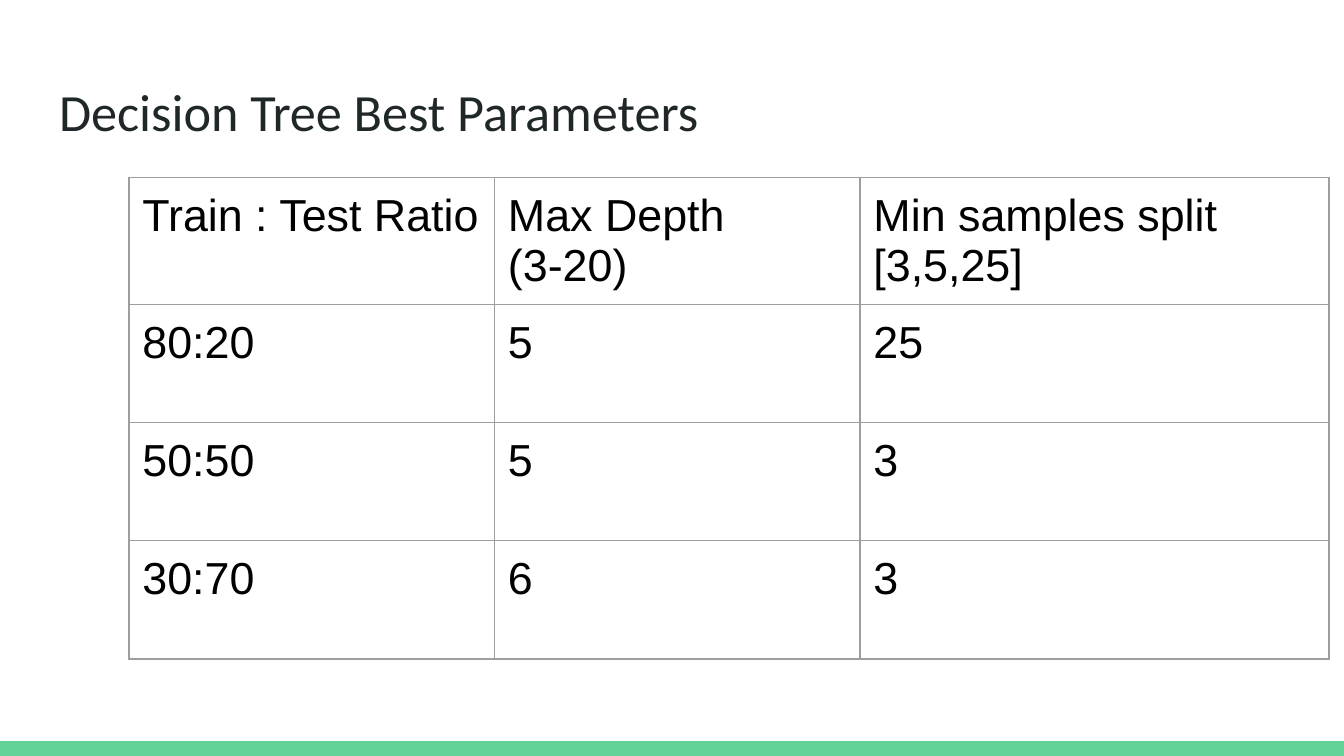
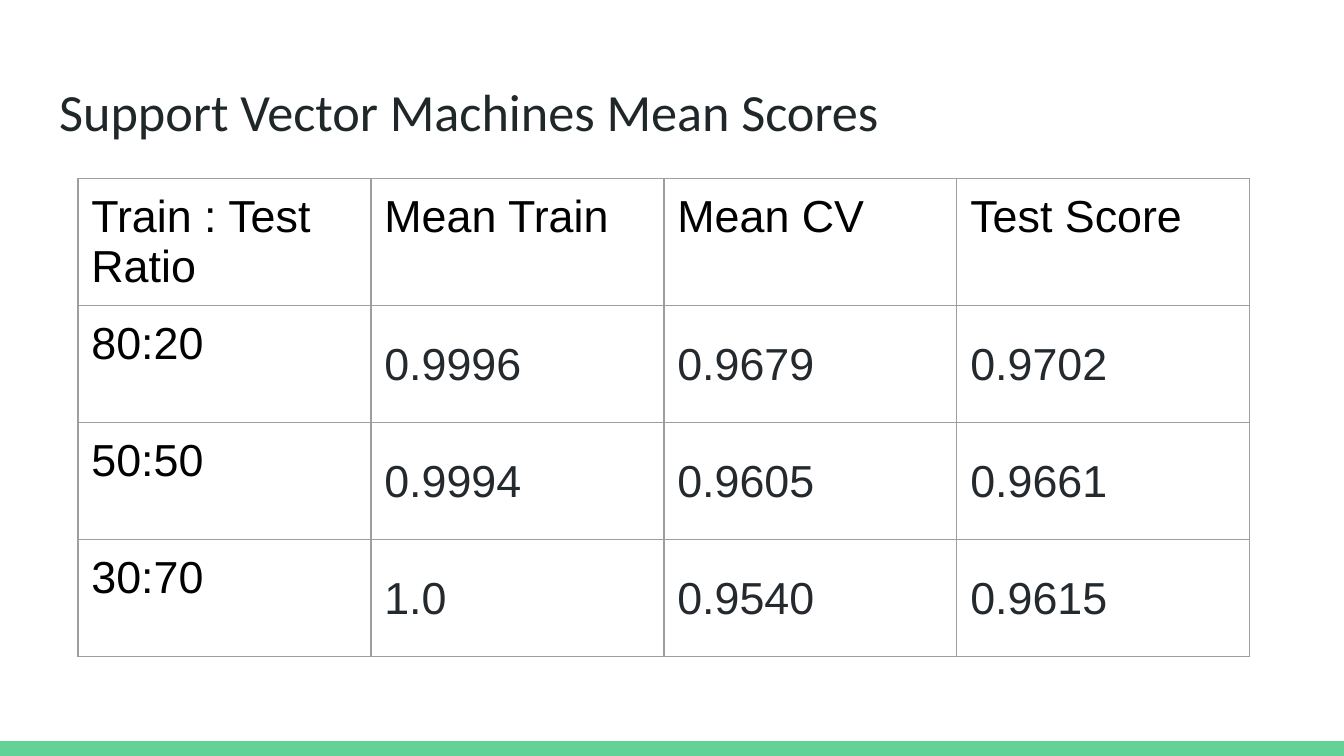
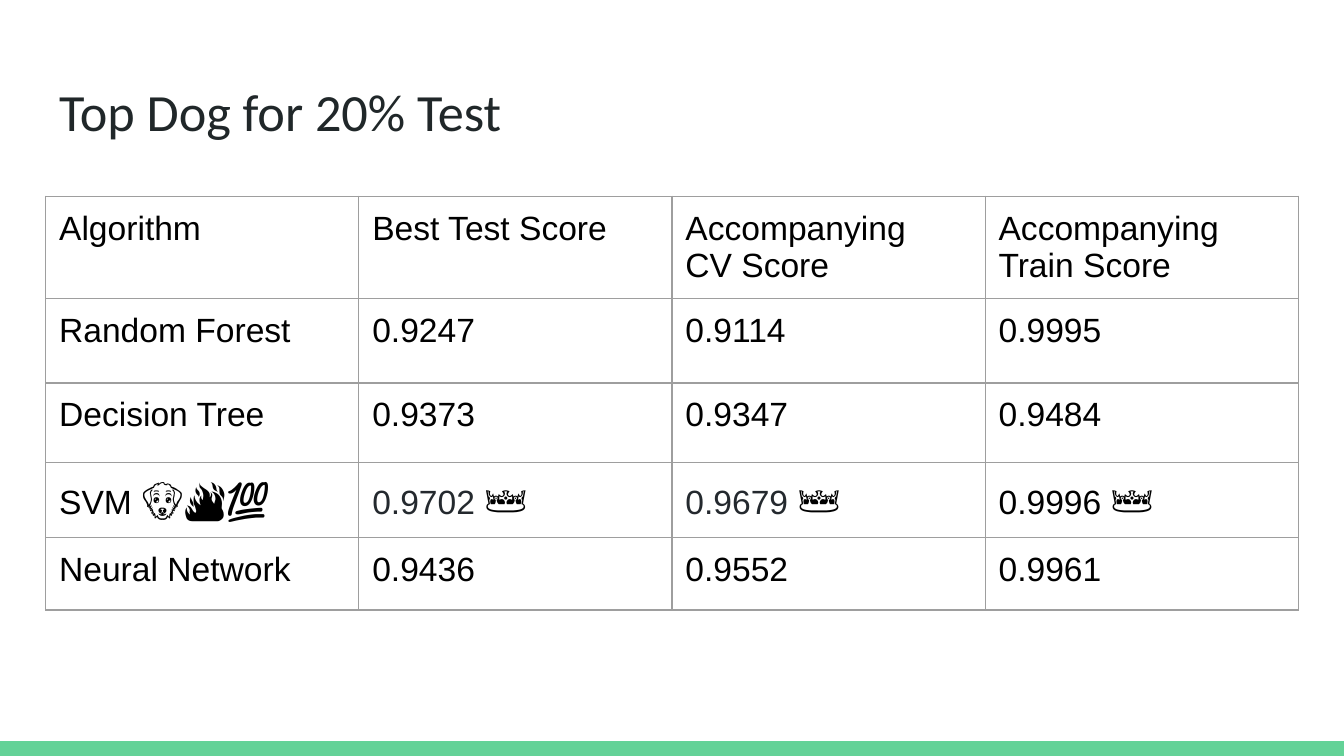
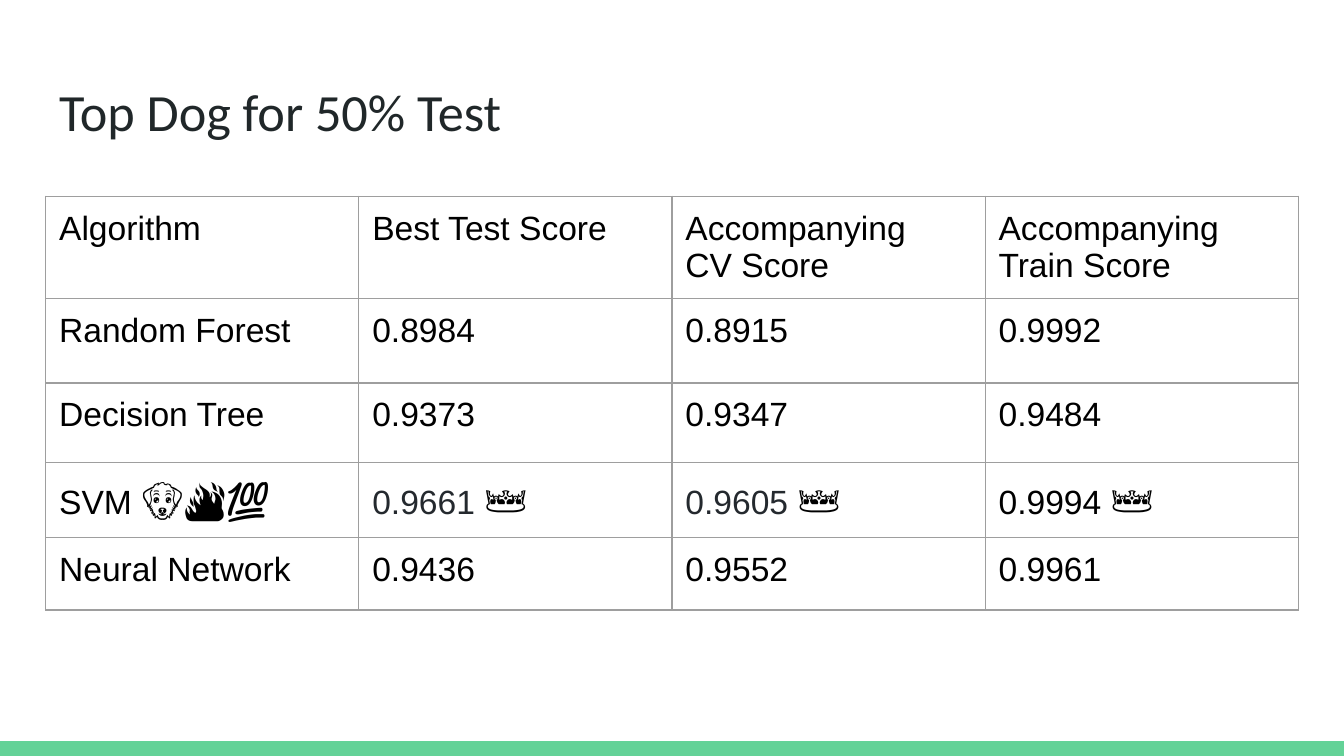
import pptx
import pptx.dml.color
import pptx.enum.shapes
import pptx.enum.text
import pptx.oxml
import pptx.oxml.ns
import pptx.util

Inches, Pt = pptx.util.Inches, pptx.util.Pt

# Shared look
W = 10
H = W * 9 / 16
MARGIN = 0.34
CONTENT_W = W - 2 * MARGIN
BAND_H = 0.11
INSET = 0.1
COLORS = {"green": "63D297", "title": "202729", "text": "000000",
          "score": "24292E", "border": "9E9E9E"}
CROWN = ("👑", "emoji")


def rgb(name):
    return pptx.dml.color.RGBColor.from_string(COLORS[name])


def style_run(r, font, size, color, bold=False):
    r.font.name = font
    r.font.size = Pt(size)
    r.font.bold = bold
    r.font.color.rgb = rgb(color)


def add_master_band(prs, s):
    """Draw the bottom band, then move it to the slide master."""
    band = s.shapes.add_shape(pptx.enum.shapes.MSO_SHAPE.RECTANGLE, 0,
                              Inches(H - BAND_H), Inches(W), Inches(BAND_H))
    band.shadow.inherit = False
    band.fill.solid()
    band.fill.fore_color.rgb = rgb("green")
    band.line.fill.background()
    band.element.xpath(".//p:cNvPr")[0].set("id", "20")
    prs.slide_master.shapes.element.append(band.element)


def add_titled_slide(prs, title):
    s = prs.slides.add_slide(prs.slide_layouts[5])
    sp = s.shapes.title
    sp.left, sp.top, sp.width, sp.height = map(
        Inches, (MARGIN, 0.49, CONTENT_W, 0.63))
    tf = sp.text_frame
    tf.text = title
    tf.word_wrap = True
    tf.auto_size = pptx.enum.text.MSO_AUTO_SIZE.NONE
    tf.vertical_anchor = pptx.enum.text.MSO_ANCHOR.TOP
    tf.margin_left = tf.margin_right = Inches(INSET)
    tf.margin_top = tf.margin_bottom = Inches(INSET)
    p = tf.paragraphs[0]
    p.alignment = pptx.enum.text.PP_ALIGN.LEFT
    style_run(p.runs[0], "Calibri", 28, "title")
    return s


def set_borders(cell):
    tc_pr = cell._tc.get_or_add_tcPr()
    for i, side in enumerate(("lnL", "lnR", "lnT", "lnB")):
        tc_pr.insert(i, pptx.oxml.parse_xml(
            f'<a:{side} {pptx.oxml.ns.nsdecls("a")} w="{Pt(0.75)}"><a:solidFill>'
            f'<a:srgbClr val="{COLORS["border"]}"/></a:solidFill></a:{side}>'))


def fill_cell(cell, content, size, color="text", spacing=None):
    """Content is plain text, or a list of (text, style) runs."""
    cell.margin_left = cell.margin_right = Inches(INSET)
    cell.margin_top = cell.margin_bottom = Inches(INSET)
    cell.fill.background()
    set_borders(cell)
    tf = cell.text_frame
    if isinstance(content, str):
        tf.text = content
        for p in tf.paragraphs:
            p.line_spacing = spacing
            for r in p.runs:
                style_run(r, "Arial", size, color)
        return
    for text, style in content:
        r = tf.paragraphs[0].add_run()
        r.text = text
        if style == "emoji":
            style_run(r, "Arial", 23, "text", bold=True)
        else:
            style_run(r, "Arial", size, style)


def add_grid(s, left, top, cols, heights, rows, size, score_style=None):
    """Add a table; score_style applies to all but first row and column."""
    tbl = s.shapes.add_table(len(rows), len(cols), Inches(left), Inches(top),
                             Inches(sum(cols)), Inches(sum(heights))).table
    tbl.first_row = tbl.horz_banding = False
    for col, width in zip(tbl.columns, cols):
        col.width = Inches(width)
    for row, height in zip(tbl.rows, heights):
        row.height = Inches(height)
    for i, row in enumerate(rows):
        for j, content in enumerate(row):
            style = score_style if score_style and i and j else {}
            fill_cell(tbl.cell(i, j), content, size, **style)


def add_top_dog_slide(prs, share, forest, svm):
    """Compare the algorithms; only forest and SVM scores change."""
    s = add_titled_slide(prs, f"Top Dog for {share} Test")
    test, cv, train = svm
    rows = [
        ["Algorithm", "Best Test Score", "Accompanying\nCV Score",
         "Accompanying\nTrain Score"],
        ["Random Forest", *forest],
        ["Decision Tree", "0.9373", "0.9347", "0.9484"],
        [[("SVM ", "text"), ("🐶🔥💯", "emoji")],
         [(test, "score"), (" ", "text"), CROWN],
         [(cv, "score"), (" ", "text"), CROWN],
         [(train + " ", "text"), CROWN]],
        ["Neural Network", "0.9436", "0.9552", "0.9961"],
    ]
    add_grid(s, MARGIN, 1.46, [CONTENT_W / 4] * 4,
             [0.72, 0.63, 0.59, 0.54, 0.54], rows, 18)


def main():
    prs = pptx.Presentation()
    prs.slide_width, prs.slide_height = Inches(W), Inches(H)

    # Decision tree parameters
    s = add_titled_slide(prs, "Decision Tree Best Parameters")
    add_master_band(prs, s)
    add_grid(s, 0.96, 1.32, [2.72, 2.72, 3.49], [0.88] * 4, [
        ["Train : Test Ratio", "Max Depth\n(3-20)",
         "Min samples split\n[3,5,25]"],
        ["80:20", "5", "25"],
        ["50:50", "5", "3"],
        ["30:70", "6", "3"],
    ], 24)

    # Support vector machine scores
    s = add_titled_slide(prs, "Support Vector Machines Mean Scores")
    add_grid(s, 0.58, 1.33, [2.18] * 4, [0.94] + [0.87] * 3, [
        ["Train : Test Ratio", "Mean Train", "Mean CV", "Test Score"],
        ["80:20", "0.9996", "0.9679", "0.9702"],
        ["50:50", "0.9994", "0.9605", "0.9661"],
        ["30:70", "1.0", "0.9540", "0.9615"],
    ], 24, {"color": "score", "spacing": 1.43})

    # Algorithm comparisons
    add_top_dog_slide(prs, "20%", ["0.9247", "0.9114", "0.9995"],
                      ["0.9702", "0.9679", "0.9996"])
    add_top_dog_slide(prs, "50%", ["0.8984", "0.8915", "0.9992"],
                      ["0.9661", "0.9605", "0.9994"])

    prs.save("out.pptx")


if __name__ == "__main__":
    main()
